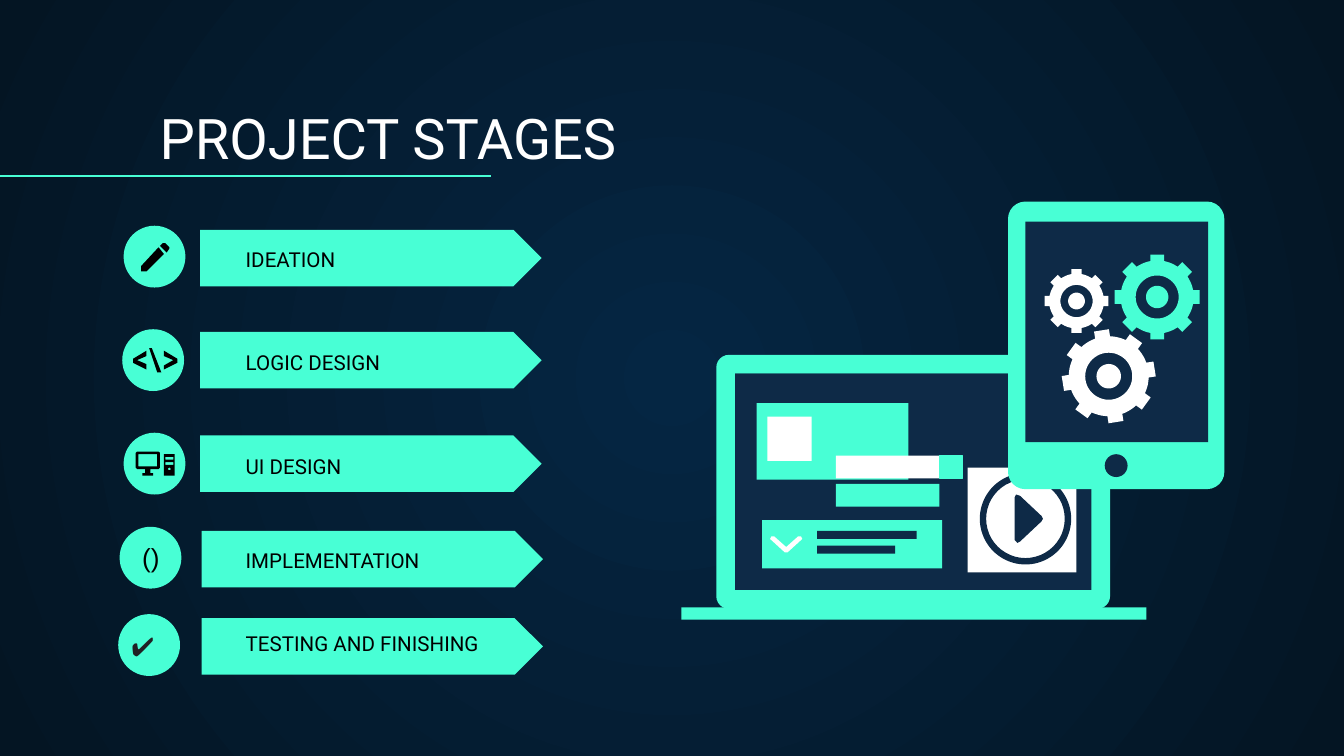
from math import asin, cos, pi, radians, sin

from pptx import Presentation
from pptx.dml.color import RGBColor
from pptx.enum.shapes import MSO_CONNECTOR, MSO_SHAPE
from pptx.enum.text import MSO_ANCHOR
from pptx.oxml.ns import qn
from pptx.util import Inches, Pt
from lxml.etree import SubElement

THEME = {
    "mint": "48FFD5", "navy": "0E2A47", "white": "FFFFFF", "black": "000000",
    "check": "202124", "glow": "052643", "edge": "041523",
    "title": 30, "label": 11, "symbol": 14, "rule": 0.75,
    "font": "Roboto", "symbol_font": "Arial",
}

# label, arrow left and top, label top, badge left and top
STAGES = [
    ("IDEATION", 1.49, 1.71, 1.9, 0.92, 1.68),
    ("LOGIC DESIGN", 1.49, 2.47, 2.67, 0.91, 2.45),
    ("UI DESIGN", 1.49, 3.24, 3.44, 0.92, 3.22),
    ("IMPLEMENTATION", 1.5, 3.95, 4.14, 0.89, 3.92),
    ("TESTING AND FINISHING", 1.5, 4.6, 4.76, 0.88, 4.57),
]
# text, box, colour
SYMBOLS = [("()", (0.96, 3.98, 0.34, 0.34), "black"),
           ("✔", (0.88, 4.64, 0.41, 0.34), "check")]

# preset, box, colour, adjustment
LAPTOP = [
    ("ROUNDED_RECTANGLE", (5.33, 2.64, 2.93, 1.89), "mint", 0.05),
    ("RECTANGLE", (5.47, 2.78, 2.65, 1.61), "navy", None),
    ("RECTANGLE", (5.07, 4.52, 3.46, 0.09), "mint", None),
    ("RECTANGLE", (5.47, 2.78, 2.65, 0.15), "navy", None),
    ("RECTANGLE", (5.63, 3, 1.13, 0.57), "mint", None),
    ("RECTANGLE", (5.71, 3.1, 0.33, 0.33), "white", None),
    ("RECTANGLE", (6.02, 3.87, 0.99, 0.36), "mint", None),
    ("RECTANGLE", (6.08, 3.95, 0.74, 0.06), "navy", None),
    ("RECTANGLE", (6.08, 4.06, 0.58, 0.06), "navy", None),
    ("RECTANGLE", (5.67, 3.87, 0.35, 0.36), "mint", None),
    ("RECTANGLE", (6.22, 3.6, 0.77, 0.17), "mint", None),
    ("RECTANGLE", (6.22, 3.39, 0.77, 0.17), "white", None),
    ("RECTANGLE", (7.2, 3.48, 0.81, 0.78), "white", None),
    ("DONUT", (7.29, 3.52, 0.68, 0.68), "navy", 0.07),
]
CURSOR_BLOCK = (6.99, 3.39, 0.17, 0.17)
TABLET = [
    ("ROUNDED_RECTANGLE", (7.5, 1.5, 1.61, 2.14), "mint", 0.08),
    ("RECTANGLE", (7.63, 1.65, 1.36, 1.64), "navy", None),
    ("OVAL", (8.22, 3.38, 0.17, 0.17), "navy", None),
]
# centre, outer radius, tilt in degrees, colour
GEARS = [((8.61, 2.21), 0.32, 0, "mint"),
         ((8.01, 2.24), 0.24, 0, "white"),
         ((8.25, 2.8), 0.35, -9, "white")]


def bar(left, top, right, bottom):
    return [(left, top), (right, top), (right, bottom), (left, bottom)]


def circle(center, radius, steps=48):
    return [(center[0] + radius * cos(2 * pi * step / steps),
             center[1] + radius * sin(2 * pi * step / steps)) for step in range(steps)]


def gear(center, radius, tilt, teeth=8, arc_steps=5):
    """Contours of a toothed wheel with a ring-shaped hole round its hub."""
    body, half_tooth = 0.85 * radius, 0.16 * radius
    base, tip = asin(half_tooth / body), asin(half_tooth / radius)
    gap = 2 * pi / teeth - 2 * base
    rim = []
    for tooth in range(teeth):
        middle = radians(tilt) + 2 * pi * tooth / teeth
        polar = [(radius, middle - tip), (radius, middle + tip)]
        polar += [(body, middle + base + gap * step / arc_steps)
                  for step in range(arc_steps + 1)]
        rim += [(center[0] + r * cos(a), center[1] + r * sin(a)) for r, a in polar]
    return [rim, circle(center, 0.5 * radius), circle(center, 0.26 * radius)]


PENCIL = [
    [(1.21, 1.81), (1.23, 1.81), (1.26, 1.84), (1.26, 1.85), (1.24, 1.88), (1.19, 1.83)],
    [(1.18, 1.84), (1.05, 1.98), (1.05, 2.02), (1.09, 2.02), (1.22, 1.89)],
]
CODE_MARKS = [
    [(1.09, 2.75), (0.99, 2.7), (0.99, 2.67), (1.09, 2.61), (1.09, 2.65),
     (1.02, 2.68), (1.09, 2.71)],
    [(1.17, 2.77), (1.11, 2.59), (1.13, 2.59), (1.2, 2.77)],
    [(1.22, 2.75), (1.22, 2.72), (1.29, 2.68), (1.22, 2.65), (1.22, 2.61),
     (1.32, 2.67), (1.32, 2.7)],
]
MONITOR = [
    [(1.02, 3.36), (1.18, 3.36), (1.19, 3.37), (1.19, 3.48), (1.18, 3.49), (1.12, 3.49),
     (1.12, 3.52), (1.14, 3.52), (1.14, 3.54), (1.06, 3.54), (1.06, 3.52), (1.08, 3.52),
     (1.08, 3.49), (1.02, 3.49), (1.01, 3.48), (1.01, 3.37)],
    bar(1.03, 3.38, 1.17, 3.47),
]
TOWER = [bar(1.22, 3.38, 1.3, 3.54), bar(1.23, 3.4, 1.29, 3.42),
         bar(1.23, 3.44, 1.29, 3.46), circle((1.26, 3.49), 0.01, 12)]
CHEVRON = [[(5.76, 3.99), (5.85, 4.07), (5.94, 3.99), (5.96, 3.99), (5.97, 4.01),
            (5.86, 4.11), (5.84, 4.11), (5.73, 4.01), (5.74, 3.99)]]
PLAY = [[(7.55, 3.7), (7.56, 3.68), (7.59, 3.69), (7.75, 3.84), (7.76, 3.86),
         (7.75, 3.88), (7.59, 4.03), (7.57, 4.04), (7.55, 4.02)]]


def color(name):
    return RGBColor.from_string(THEME[name])


def paint(shape, fill):
    shape.shadow.inherit = False
    shape.fill.solid()
    shape.fill.fore_color.rgb = color(fill)
    shape.line.fill.background()


def add_preset(page, preset, box, fill, adjustment=None):
    shape = page.shapes.add_shape(MSO_SHAPE[preset], *map(Inches, box))
    if adjustment is not None:
        shape.adjustments[0] = adjustment
    paint(shape, fill)
    return shape


def add_outline(page, contours, fill):
    """Draw closed contours as one shape; inner contours are holes."""
    points = [[(Inches(x), Inches(y)) for x, y in contour] for contour in contours]
    builder = page.shapes.build_freeform(*points[0][0])
    for index, contour in enumerate(points):
        if index:
            builder.move_to(*contour[0])
        builder.add_line_segments(contour[1:], close=True)
    paint(builder.convert_to_shape(), fill)


def add_text(page, text, box, size, fill, font="font", **frame_format):
    frame = page.shapes.add_textbox(*map(Inches, box)).text_frame
    for name, value in {"word_wrap": True, **frame_format}.items():
        setattr(frame, name, value)
    span = frame.paragraphs[0].add_run()
    span.text = text
    for name, value in {"name": THEME[font], "size": Pt(THEME[size])}.items():
        setattr(span.font, name, value)
    span.font.color.rgb = color(fill)


def set_background(page):
    fill = page.background.fill
    fill.gradient()
    for stop, name, position in zip(fill.gradient_stops, ("glow", "edge"), (0, 1)):
        stop.color.rgb = color(name)
        stop.position = position
    gradient = page.element.find(".//" + qn("a:gradFill"))
    gradient.remove(gradient.find(qn("a:lin")))
    radial = SubElement(gradient, qn("a:path"), {"path": "circle"})
    SubElement(radial, qn("a:fillToRect"), dict.fromkeys("ltrb", "50000"))


def add_rule(page):
    rule = page.shapes.add_connector(
        MSO_CONNECTOR.STRAIGHT, Inches(0), Inches(1.31), Inches(3.65), Inches(1.31))
    rule.line.color.rgb = color("mint")
    rule.line.width = Pt(THEME["rule"])
    SubElement(rule.element.spPr, qn("a:effectLst"))


def main():
    deck = Presentation()
    deck.slide_width = Inches(10)
    deck.slide_height = deck.slide_width * 9 // 16
    page = deck.slides.add_slide(deck.slide_layouts[6])
    set_background(page)

    heading = {"vertical_anchor": MSO_ANCHOR.BOTTOM}
    heading |= {f"margin_{side}": Inches(0.1) for side in ("left", "top", "right", "bottom")}
    add_text(page, "PROJECT STAGES", (1.09, 0.71, 8.57, 0.66), "title", "white", **heading)
    add_rule(page)
    for label, left, top, label_top, badge_left, badge_top in STAGES:
        add_preset(page, "PENTAGON", (left, top, 2.54, 0.42), "mint", 0.5)
        add_preset(page, "OVAL", (badge_left, badge_top, 0.46, 0.46), "mint")
        add_text(page, label, (1.73, label_top, 2.27, 0.21), "label", "black", **heading)
    for contours in (PENCIL, *([mark] for mark in CODE_MARKS), MONITOR, TOWER):
        add_outline(page, contours, "black")
    for text, box, fill in SYMBOLS:
        add_text(page, text, box, "symbol", fill, "symbol_font")

    for part in LAPTOP:
        add_preset(page, *part)
    block = add_preset(page, "RECTANGLE", CURSOR_BLOCK, "mint")
    block.line.color.rgb = color("mint")
    block.line.width = Pt(THEME["rule"])
    add_outline(page, CHEVRON, "white")
    add_outline(page, PLAY, "navy")
    for part in TABLET:
        add_preset(page, *part)
    for center, radius, tilt, fill in GEARS:
        add_outline(page, gear(center, radius, tilt), fill)
    deck.save("out.pptx")


if __name__ == "__main__":
    main()
